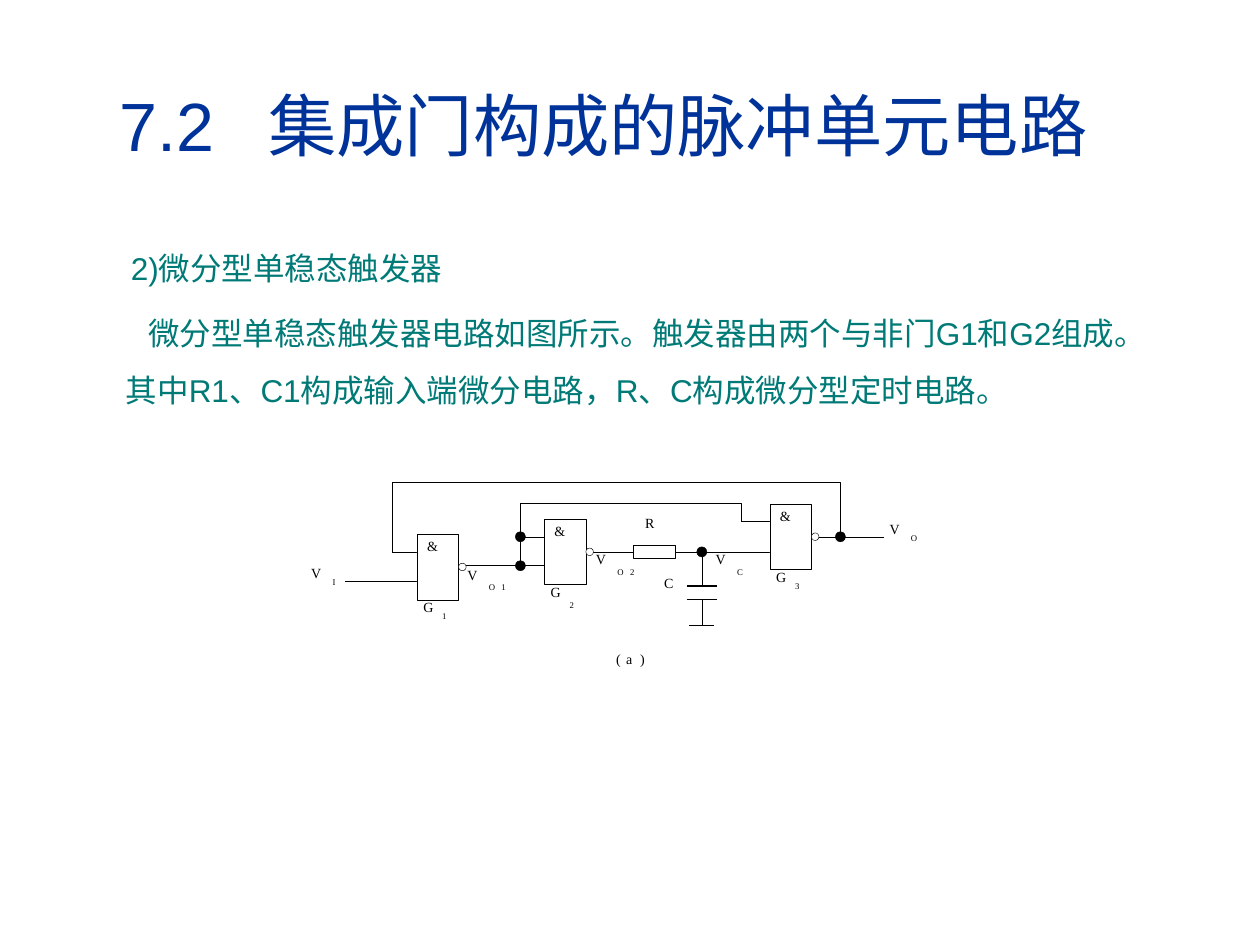
from dataclasses import dataclass

from lxml.etree import SubElement
from pptx import Presentation
from pptx.dml.color import RGBColor as RGB
from pptx.enum.shapes import MSO_CONNECTOR as Link, MSO_SHAPE as Kind
from pptx.enum.text import MSO_ANCHOR as Anchor
from pptx.oxml.ns import qn
from pptx.util import Inches, Pt


@dataclass(frozen=True)
class Theme:
    navy: RGB = RGB(0x00, 0x33, 0x99)
    teal: RGB = RGB(0x00, 0x7A, 0x77)
    ink: RGB = RGB(0, 0, 0)
    paper: RGB = RGB(255, 255, 255)
    sans: str = "Arial"
    serif: str = "Times New Roman"
    head: float = 39
    body: float = 18
    label: float = 8
    sub: float = 5
    thin: float = 0.25
    plate: float = 0.75


T = Theme()


@dataclass(frozen=True)
class Box:
    x: float
    y: float
    w: float
    h: float

    def at(self, dx, dy):
        return Inches(self.x + dx), Inches(self.y + dy)


def style(para, face, size, color):
    for run in para.runs:
        run.font.name = face
        run.font.size = Pt(size)
        run.font.color.rgb = color


def indent(para, left, first, right):
    props = para._p.get_or_add_pPr()
    for name, value in (("marL", left), ("marR", right), ("indent", first)):
        props.set(name, str(Inches(value)))


def tab_stop(para, pos):
    tabs = SubElement(para._p.get_or_add_pPr(), qn("a:tabLst"))
    SubElement(tabs, qn("a:tab"), pos=str(Inches(pos)), algn="l")


def text_box(shapes, box, inset=None):
    spot = shapes.add_textbox(*box.at(0, 0), Inches(box.w), Inches(box.h))
    frame = spot.text_frame
    frame.word_wrap = True
    if inset is not None:
        frame.margin_left = frame.margin_right = Inches(0)
        frame.margin_top, frame.margin_bottom = Inches(inset), Inches(0)
    return frame


def title(slide, box):
    frame = text_box(slide.shapes, box, 0.05)
    frame.margin_left = Inches(0.83)
    frame.vertical_anchor = Anchor.BOTTOM
    frame.text = "7.2\t集成门构成的脉冲单元电路"
    para = frame.paragraphs[0]
    tab_stop(para, 1.18)
    style(para, T.sans, T.head, T.navy)


def body(slide, box):
    frame = text_box(slide.shapes, box)
    frame.text = (
        "2)微分型单稳态触发器\n"
        "微分型单稳态触发器电路如图所示。触发器由两个与非门G1和G2组成。"
        "其中R1、C1构成输入端微分电路，R、C构成微分型定时电路。"
    )
    for para, first, gap in zip(frame.paragraphs, (0.04, 0.18), (0, 4.5)):
        indent(para, 0.38, first, 0.13)
        para.line_spacing = 1.5
        para.space_before = Pt(gap)
        style(para, T.sans, T.body, T.teal)


def mark(shapes, box, dx, dy, text, size=T.label):
    spot = Box(box.x + dx, box.y + dy, 0.09, 0.13)
    frame = text_box(shapes, spot, 0)
    frame.text = text
    style(frame.paragraphs[0], T.serif, size, T.ink)


def tagged(shapes, box, dx, dy, text, sub, gap, drop):
    mark(shapes, box, dx, dy, text)
    for i, sign in enumerate(sub):
        mark(shapes, box, dx + gap + 0.1 * i, dy + drop, sign, T.sub)


def outline(shape, fill):
    shape.shadow.inherit = False
    if fill is None:
        shape.fill.background()
    else:
        shape.fill.solid()
        shape.fill.fore_color.rgb = fill
    shape.line.color.rgb = T.ink
    shape.line.width = Pt(T.thin)


def part(shapes, box, kind, dx, dy, w, h, fill=T.paper):
    outline(shapes.add_shape(kind, *box.at(dx, dy), Inches(w), Inches(h)), fill)


def line(shapes, box, start, end, width=T.thin):
    wire = shapes.add_connector(Link.STRAIGHT, *box.at(*start), *box.at(*end))
    wire.line.color.rgb = T.ink
    wire.line.width = Pt(width)
    SubElement(wire._element.spPr, qn("a:effectLst"))


def route(shapes, box, points):
    first, *rest = [box.at(*point) for point in points]
    path = shapes.build_freeform(*first)
    path.add_line_segments(rest, close=False)
    outline(path.convert_to_shape(), None)


def gate(shapes, box, num, drop):
    ring = 0.06
    part(shapes, box, Kind.RECTANGLE, 0, 0, box.w, box.h)
    part(shapes, box, Kind.OVAL, box.w, (box.h - ring) / 2, ring, ring)
    mark(shapes, box, 0.08, 0.03, "&")
    tagged(shapes, box, 0.05, 0.51, "G", num, 0.15, drop)


def circuit(slide, box):
    shapes = slide.shapes.add_group_shape().shapes
    low, mid, high = 0.66, 0.55, 0.43
    node, tap, out = 1.66, 3.1, 4.2
    top, base, foot = 0.82, 0.93, 1.13
    half, bend, step = 2.6, 3.41, 0.31

    for points in (
        [(0.64, mid), (0.64, 0), (half, 0)],
        [(out, high), (out, 0), (half, 0)],
        [(bend, step), (bend, 0.16), (node, 0.16)],
    ):
        route(shapes, box, points)
    for left, right, y in (
        (0.64, 0.84, mid), (0.27, 0.84, 0.78), (1.22, node, low),
        (node, 1.85, low), (node, 1.85, high), (2.23, 2.56, mid),
        (2.89, 3.64, mid), (bend, 3.64, step), (4.02, 4.55, high),
        (tap - 0.1, tap + 0.1, foot),
    ):
        line(shapes, box, (left, y), (right, y))
    for x, start, end in ((node, 0.16, low), (tap, mid, top), (tap, base, foot)):
        line(shapes, box, (x, start), (x, end))
    for y in (top, base):
        line(shapes, box, (tap - 0.12, y), (tap + 0.12, y), T.plate)

    for x, y, num, drop in ((0.84, 0.41, "1", 0.1), (1.85, 0.29, "2", 0.13), (3.64, 0.17, "3", 0.1)):
        gate(shapes, Box(box.x + x, box.y + y, 0.33, 0.52), num, drop)
    part(shapes, box, Kind.RECTANGLE, 2.56, mid - 0.05, 0.33, 0.1)
    for x, y in ((node, high), (node, low), (tap, mid), (out, high)):
        part(shapes, box, Kind.OVAL, x - 0.04, y - 0.04, 0.08, 0.08, T.ink)

    for x, y, sub, drop in (
        (0, 0.65, "I", 0.1), (1.24, 0.67, "O1", 0.12), (2.26, 0.54, "O2", 0.13),
        (3.21, 0.54, "C", 0.13), (4.59, 0.3, "O", 0.1),
    ):
        tagged(shapes, box, x, y, "V", sub, 0.17, drop)
    for x, y, text in (
        (2.65, 0.25, "R"), (2.8, 0.73, "C"),
        (2.42, 1.33, "("), (2.5, 1.33, "a"), (2.61, 1.33, ")"),
    ):
        mark(shapes, box, x, y, text)


def main():
    deck = Presentation()
    deck.slide_width, deck.slide_height = Inches(10), Inches(7.5)
    slide = deck.slides.add_slide(deck.slide_layouts[6])
    body(slide, Box(0.52, 1.78, 8.73, 1.57))
    circuit(slide, Box(2.47, 3.83, 4.81, 1.46))
    title(slide, Box(0.12, 0.06, 9.34, 1.25))
    deck.save("out.pptx")


if __name__ == "__main__":
    main()
